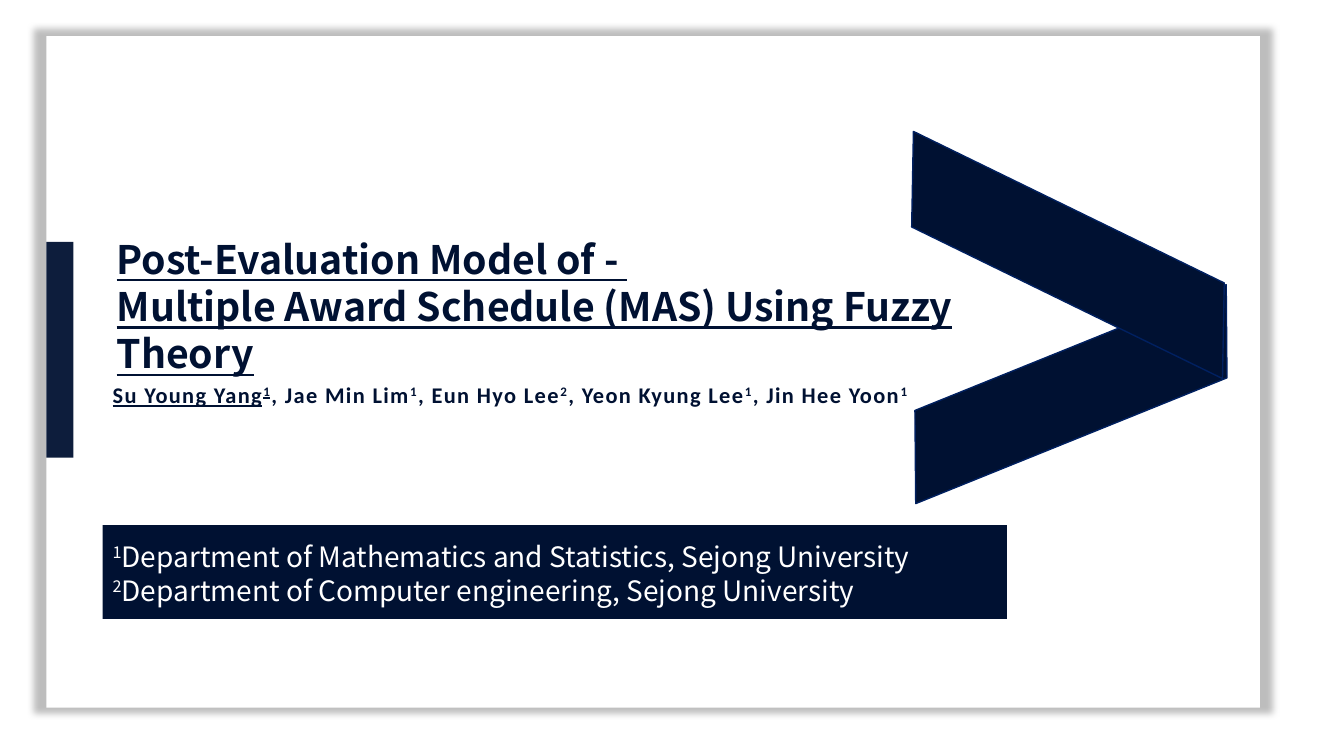
from lxml import etree
from pptx import Presentation
from pptx.dml.color import RGBColor
from pptx.enum.shapes import MSO_SHAPE
from pptx.oxml.ns import qn
from pptx.util import Pt

RECT = MSO_SHAPE.RECTANGLE
SLANT = MSO_SHAPE.PARALLELOGRAM

THEME = {
    "navy": "001132", "edge": "002060", "white": "FFFFFF", "black": "000000",
    "title": {"size": Pt(28), "name": "Noto Sans CJK SC", "bold": True},
    "names": {"size": Pt(16), "name": "Calibri", "bold": True},
    "depts": {"size": Pt(20), "name": "Noto Sans CJK KR"},
}

PANEL = (33.1, 25.9, 866.9, 479.5)
BANDS = [
    {"box": (632.9, 250.6, 264.2, 61.9), "turn": 338, "adj": 0.394, "flip": False},
    {"box": (625, 151.2, 275.8, 61.9), "turn": 26, "adj": 0.465, "flip": True},
]
BAR = (73.4, 375.1, 645.8, 67)
TAB = (33.1, 172.8, 19.4, 154.1)

TITLE = ["Post-Evaluation Model of - ",
         "Multiple Award Schedule (MAS) Using Fuzzy Theory"]
NAMES = [("Su Young Yang", "1"), ("Jae Min Lim", "1"), ("Eun Hyo Lee", "2"),
         ("Yeon Kyung Lee", "1"), ("Jin Hee Yoon", "1")]
DEPTS = [("1", "Department of Mathematics and Statistics, Sejong University"),
         ("2", "Department of Computer engineering, Sejong University")]

TEXTS = {
    "title": {"box": (76.3, 164.2, 637.9, 108.7), "ink": "navy", "lead": 33.8,
              "lines": [[(line, False, True)] for line in TITLE]},
    "names": {"box": (73.4, 268.6, 680.4, 26.6), "ink": "navy", "gap": 1,
              "lines": [[part for i, (name, mark) in enumerate(NAMES)
                         for part in ((", " * (i > 0) + name, False, i == 0),
                                      (mark, True, i == 0))]]},
    "depts": {"box": (73.4, 381.6, 698.4, 55.4), "ink": "white", "lead": 24.1,
              "glow": {"blur": 3, "dist": 3, "dir": 45, "alpha": 50},
              "lines": [[(mark, True, False), (dept, False, False)]
                        for mark, dept in DEPTS]},
}


def color(key):
    return RGBColor.from_string(THEME[key])


def place(box):
    return [Pt(v) for v in box]


def assign(target, values):
    for key, value in values.items():
        setattr(target, key, value)


def fade(node, alpha):
    etree.SubElement(node, qn("a:alpha"), val=str(alpha * 1000))


def shade(effects, blur, dist, dir, alpha, scale=100):
    node = etree.SubElement(
        effects, qn("a:outerShdw"), blurRad=str(Pt(blur)), dist=str(Pt(dist)),
        dir=str(dir * 60000), sx=str(scale * 1000), sy=str(scale * 1000),
        algn="ctr", rotWithShape="0")
    fade(etree.SubElement(node, qn("a:srgbClr"), val=THEME["black"]), alpha)


def draw(slide, kind, box, ink, edge=None):
    shape = slide.shapes.add_shape(kind, *place(box))
    shape.shadow.inherit = False
    shape.fill.solid()
    shape.fill.fore_color.rgb = color(ink)
    if edge:
        shape.line.color.rgb = color(edge)
        shape.line.width = Pt(1)
    else:
        shape.line.fill.background()
    return shape


def write(slide, style, data):
    frame = slide.shapes.add_textbox(*place(data["box"])).text_frame
    frame.word_wrap = True
    for i, line in enumerate(data["lines"]):
        para = frame.paragraphs[0] if i == 0 else frame.add_paragraph()
        if "lead" in data:
            para.line_spacing = Pt(data["lead"])
        for text, high, under in line:
            run = para.add_run()
            run.text = text
            assign(run.font, {**THEME[style], "underline": under})
            run.font.color.rgb = color(data["ink"])
            props = run._r.get_or_add_rPr()
            if high:
                props.set("baseline", "30000")
            if "gap" in data:
                props.set("spc", str(data["gap"] * 100))
            if "glow" in data:
                effects = etree.Element(qn("a:effectLst"))
                props.find(qn("a:solidFill")).addnext(effects)
                shade(effects, **data["glow"])


def main():
    deck = Presentation()
    assign(deck, {"slide_width": Pt(960), "slide_height": Pt(540)})
    slide = deck.slides.add_slide(deck.slide_layouts[6])

    panel = draw(slide, RECT, PANEL, "white")
    shade(panel._element.spPr.find(qn("a:effectLst")),
          blur=5, dist=0, dir=0, alpha=25, scale=102)

    for band in BANDS:
        shape = draw(slide, SLANT, band["box"], "navy", "edge")
        shape.adjustments[0] = band["adj"]
        shape.rotation = band["turn"]
        if band["flip"]:
            shape._element.spPr.find(qn("a:xfrm")).set("flipH", "1")

    draw(slide, RECT, BAR, "navy")
    for style, data in TEXTS.items():
        write(slide, style, data)

    tab = draw(slide, RECT, TAB, "navy")
    fade(tab._element.spPr.find(qn("a:solidFill"))[0], 95)

    deck.save("out.pptx")


if __name__ == "__main__":
    main()
